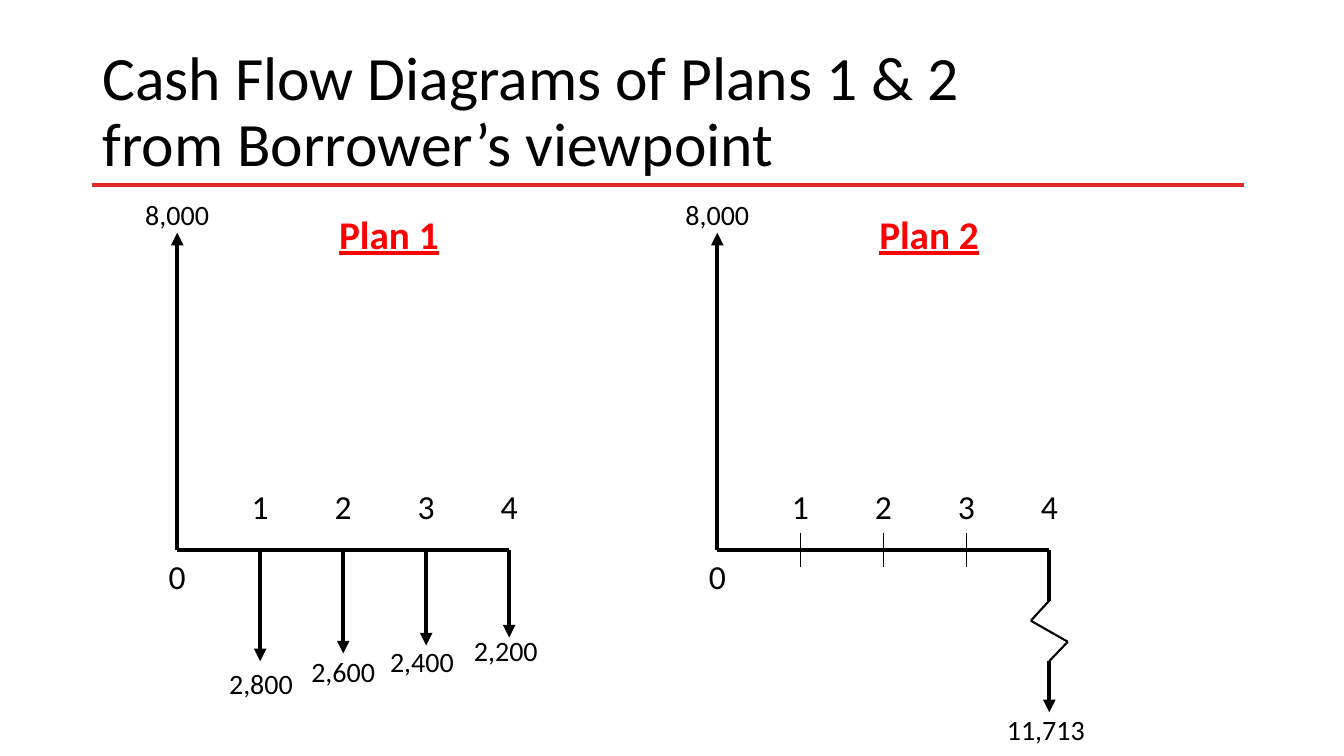
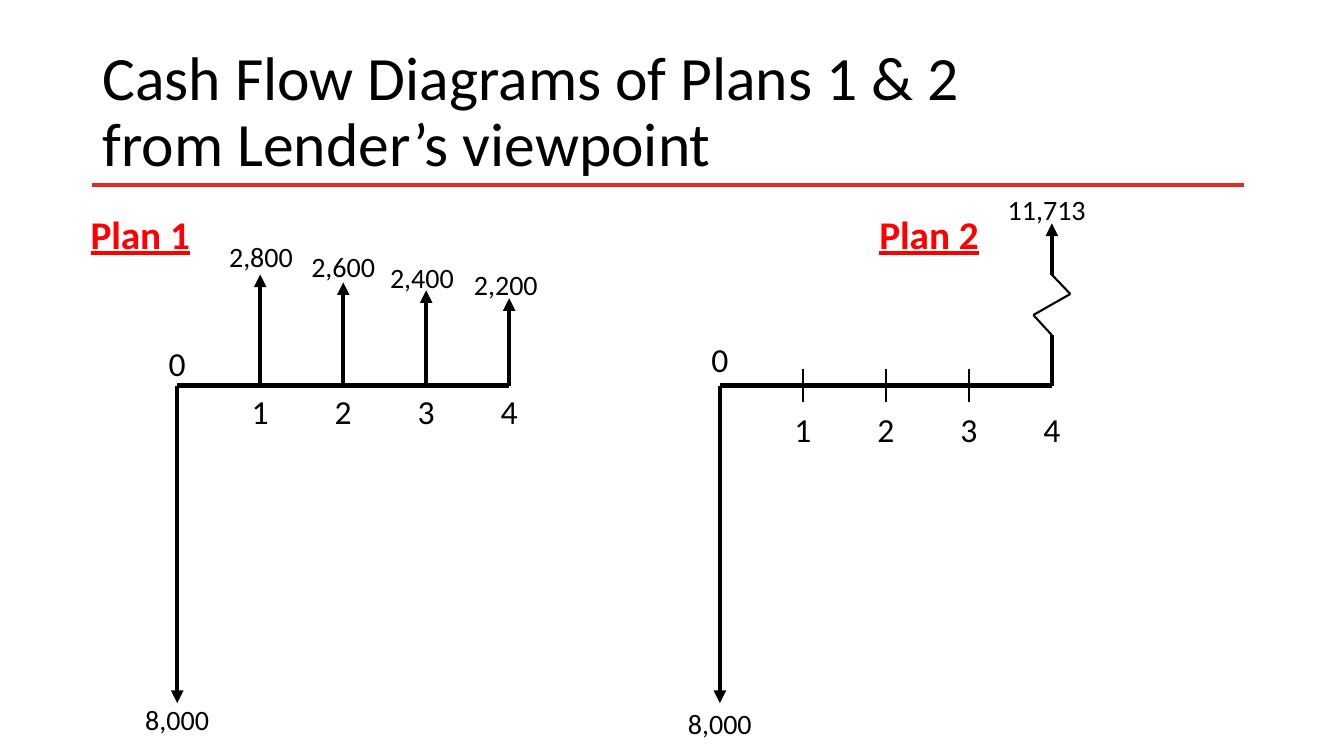
from dataclasses import dataclass

from lxml import etree
from pptx import Presentation
from pptx.dml.color import RGBColor
from pptx.enum.shapes import MSO_CONNECTOR
from pptx.enum.text import MSO_ANCHOR, MSO_AUTO_SIZE, PP_ALIGN
from pptx.oxml.ns import qn
from pptx.util import Emu, Inches, Pt

STRAIGHT = MSO_CONNECTOR.STRAIGHT
MIDDLE = MSO_ANCHOR.MIDDLE
FIXED = MSO_AUTO_SIZE.NONE
LEFT, CENTER = PP_ALIGN.LEFT, PP_ALIGN.CENTER

# Slide grid: 160 columns by 90 rows of square cells
WIDE, HIGH = Inches(13.33), Inches(7.5)
COLS, ROWS = 160, 90


@dataclass(frozen=True)
class Theme:
    font: str = "Calibri"
    ink: RGBColor = RGBColor(0, 0, 0)
    accent: RGBColor = RGBColor(0xFF, 0, 0)
    rule: RGBColor = RGBColor(0xE1, 0x29, 0x27)
    title: float = 44
    head: float = 28
    year: float = 24
    amount: float = 20
    thick: float = 3
    medium: float = 1.5
    thin: float = 1


@dataclass(frozen=True)
class Flow:
    year: int
    amount: int
    gap: float  # rows from arrow tip to label centre
    shift: float = 0  # columns from arrow to label centre
    cut: bool = False  # drawn short, with a zigzag


@dataclass(frozen=True)
class Plan:
    name: str
    head: float  # column of the heading centre
    left: float  # column of year 0
    zero: float  # rows from the axis to the 0
    years: float  # rows from the axis to the other years
    flows: tuple[Flow, ...]
    ticks: tuple[int, ...] = ()


@dataclass(frozen=True)
class View:
    party: str
    base: float  # row of the time axis
    turn: int  # direction of the year 0 arrow: -1 up, 1 down
    plans: tuple[Plan, ...]


THEME = Theme()
LAST = 4
STEP = 9.88  # columns per year
SCALE = 37.8 / 8000  # rows per unit of money
HEAD_ROW = 27.8
TICK = 2
# Broken arrow: rows from the axis at each bend, and its swing in columns
BENDS = ((6, 0), (8.4, -2.2), (10.9, 2.2), (13.2, 0))
CUT_TIP = 19.3

VIEWS = (
    View("Borrower", 65.5, -1, (
        Plan("Plan 1", 46.3, 21.1, 3.1, 5.3, (
            Flow(0, 8000, 2.2), Flow(1, 2800, 2.6, 0.1), Flow(2, 2600, 2.1),
            Flow(3, 2400, 1.9, -0.5), Flow(4, 2200, 1.5, -0.4))),
        Plan("Plan 2", 110.6, 85.4, 3.1, 5.3, (
            Flow(0, 8000, 2.2), Flow(4, 11713, 2, -0.4, True)), (1, 2, 3)),
    )),
    View("Lender", 45.9, 1, (
        Plan("Plan 1", 16.7, 21.1, 2.7, 3, (
            Flow(0, 8000, 1.9), Flow(1, 2800, 2.2, 0.1), Flow(2, 2600, 1.9),
            Flow(3, 2400, 1.6, -0.5), Flow(4, 2200, 1.6, -0.4))),
        Plan("Plan 2", 110.6, 85.7, 3.1, 5.2, (
            Flow(0, 8000, 2.4), Flow(4, 11713, 1.7, -0.6, True)), (1, 2, 3)),
    )),
)


def col(n: float) -> Emu:
    return Emu(round(WIDE * n / COLS))


def row(n: float) -> Emu:
    return Emu(round(HIGH * n / ROWS))


def add_line(slide, x1: float, y1: float, x2: float, y2: float,
             width: float = THEME.thick, color: RGBColor = THEME.ink,
             arrow: bool = False):
    line = slide.shapes.add_connector(STRAIGHT, col(x1), row(y1), col(x2), row(y2))
    line.line.color.rgb = color
    line.line.width = Pt(width)
    if arrow:
        etree.SubElement(line.line._get_or_add_ln(), qn("a:tailEnd"), type="triangle")
    etree.SubElement(line.element.spPr, qn("a:effectLst"))
    return line


def add_run(para, text: str, size: float, color: RGBColor = THEME.ink,
            strong: bool = False) -> None:
    run = para.add_run()
    run.text = text
    run.font.name = THEME.font
    run.font.size = Pt(size)
    run.font.color.rgb = color
    if strong:
        run.font.bold = run.font.underline = True


def add_label(slide, x: float, y: float, text: str, size: float,
              color: RGBColor = THEME.ink, strong: bool = False,
              width: float = 11, height: float = 5) -> None:
    """Text centred on a point of the grid."""
    box = slide.shapes.add_textbox(
        col(x - width / 2), row(y - height / 2), col(width), row(height))
    frame = box.text_frame
    frame.margin_left = frame.margin_right = 0
    frame.margin_top = frame.margin_bottom = 0
    frame.word_wrap = True
    frame.vertical_anchor = MIDDLE
    para = frame.paragraphs[0]
    para.alignment = CENTER
    add_run(para, text, size, color, strong)


def set_title(slide, party: str) -> None:
    title = slide.shapes.title
    title.left, title.top = col(11), row(4.8)
    title.width, title.height = col(138), row(17.4)
    frame = title.text_frame
    frame.auto_size = FIXED
    frame.word_wrap = True
    frame.vertical_anchor = MIDDLE
    para = frame.paragraphs[0]
    para.alignment = LEFT
    para.line_spacing = 0.9
    add_run(para, "Cash Flow Diagrams of Plans 1 & 2 ", THEME.title)
    para.add_line_break()
    add_run(para, f"from {party}’s viewpoint", THEME.title)


def add_flow(slide, x: float, base: float, sign: int, flow: Flow) -> None:
    start, length = 0.0, flow.amount * SCALE
    if flow.cut:
        # Stem and zigzag before the arrow
        start, length = BENDS[-1][0], CUT_TIP
        add_line(slide, x, base, x, base + sign * BENDS[0][0])
        for (y1, x1), (y2, x2) in zip(BENDS, BENDS[1:]):
            add_line(slide, x + x1, base + sign * y1,
                     x + x2, base + sign * y2, THEME.medium)
    add_line(slide, x, base + sign * start, x, base + sign * length, arrow=True)
    add_label(slide, x + flow.shift, base + sign * (length + flow.gap),
              f"{flow.amount:,}", THEME.amount)


def add_plan(slide, plan: Plan, base: float, turn: int) -> None:
    add_label(slide, plan.head, HEAD_ROW, plan.name, THEME.head,
              THEME.accent, True, 16.7, 8.6)
    # Time axis, ticks and years
    add_line(slide, plan.left, base, plan.left + LAST * STEP, base)
    for year in plan.ticks:
        x = plan.left + year * STEP
        add_line(slide, x, base - TICK, x, base + TICK, THEME.thin)
    for year in range(LAST + 1):
        drop = plan.years if year else -plan.zero
        add_label(slide, plan.left + year * STEP, base + turn * drop,
                  str(year), THEME.year, width=4.2, height=6)
    # Payments run against the year 0 arrow
    for flow in plan.flows:
        add_flow(slide, plan.left + flow.year * STEP, base,
                 -turn if flow.year else turn, flow)


def main() -> None:
    deck = Presentation()
    deck.slide_width, deck.slide_height = WIDE, HIGH
    layout = deck.slide_layouts.get_by_name("Title Only")
    for view in VIEWS:
        slide = deck.slides.add_slide(layout)
        set_title(slide, view.party)
        for plan in view.plans:
            add_plan(slide, plan, view.base, view.turn)
    # The rule under the title belongs to the layout
    rule = add_line(deck.slides[0], 11, 22, 148.1, 22, color=THEME.rule)
    layout.shapes.element.append(rule.element)
    deck.save("out.pptx")


if __name__ == "__main__":
    main()
